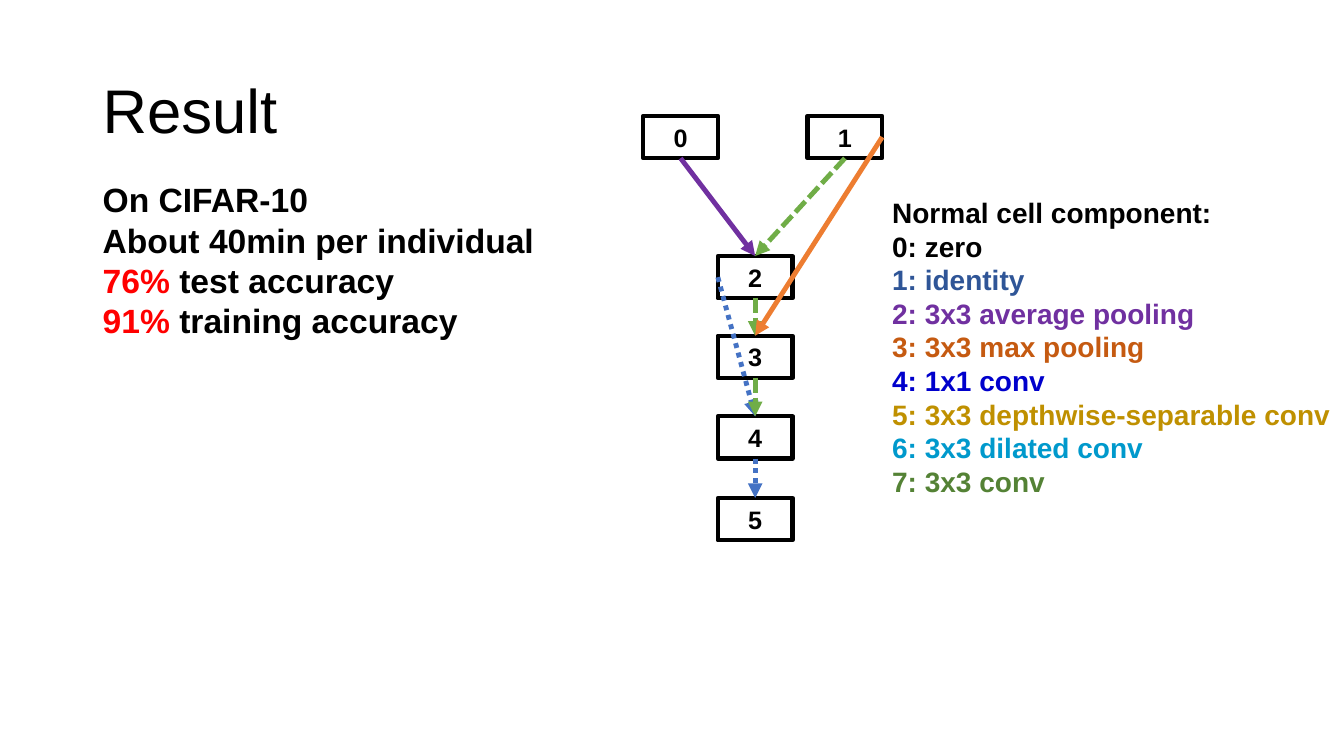
from lxml import etree
from pptx import Presentation
from pptx.dml.color import RGBColor
from pptx.enum.dml import MSO_LINE
from pptx.enum.shapes import MSO_CONNECTOR, MSO_SHAPE
from pptx.enum.text import MSO_ANCHOR, PP_ALIGN
from pptx.oxml.ns import qn
from pptx.util import Inches, Pt

STRAIGHT = MSO_CONNECTOR.STRAIGHT
RECTANGLE = MSO_SHAPE.RECTANGLE
MIDDLE, ANCHOR_TOP = MSO_ANCHOR.MIDDLE, MSO_ANCHOR.TOP
CENTER = PP_ALIGN.CENTER
DOTTED, DASHED = MSO_LINE.ROUND_DOT, MSO_LINE.SQUARE_DOT
TOP, LEFT, BOTTOM, RIGHT = range(4)  # connection sites of a rectangle

COLORS = {
    "black": "000000",
    "red": "FF0000",
    "identity": "2F5597",
    "purple": "7030A0",
    "max pooling": "C55A11",
    "pointwise": "0000CC",
    "separable": "BF9000",
    "dilated": "0099CC",
    "conv": "548235",
    "blue arrow": "4472C4",
    "green arrow": "70AD47",
    "orange arrow": "ED7D31",
}

RESULTS = [
    [("On CIFAR-10", "black")],
    [("About 40min per individual", "black")],
    [("76% ", "red"), ("test accuracy", "black")],
    [("91% ", "red"), ("training accuracy", "black")],
]

COMPONENTS = [
    [("Normal cell component:", "black")],
    [("0: zero", "black")],
    [("1: identity", "identity")],
    [("2: 3x3 average pooling", "purple")],
    [("3: 3x3 max pooling", "max pooling")],
    [("4: 1x1 conv", "pointwise")],
    [("5: 3x3 depthwise-separable conv", "separable")],
    [("6: 3x3 dilated conv", "dilated")],
    [("7: 3x3 conv", "conv")],
]

NODE_POSITIONS = [(6.38, 1.15), (8.01, 1.15)] + [
    (7.12, top) for top in (2.54, 3.33, 4.13, 4.94)
]

# source node, site it leaves from, target node, color, dash
EDGES = [
    (0, BOTTOM, 2, "purple", None),
    (4, BOTTOM, 5, "blue arrow", DOTTED),
    (1, BOTTOM, 2, "green arrow", DASHED),
    (2, BOTTOM, 3, "green arrow", DASHED),
    (1, RIGHT, 3, "orange arrow", None),
    (2, LEFT, 4, "blue arrow", DOTTED),
    (3, BOTTOM, 4, "green arrow", DASHED),
]


def color(name):
    return RGBColor.from_string(COLORS[name])


class SlideBuilder:
    font = "Arial"

    def __init__(self, slide):
        self.shapes = slide.shapes

    def style(self, paragraph, size, bold=True):
        paragraph.font.name = self.font
        paragraph.font.size = Pt(size)
        paragraph.font.bold = bold

    def text(self, left, top, width, height, lines, size,
             bold=True, anchor=ANCHOR_TOP, spacing=1.0):
        """Add a text box; each line is a list of (text, color name) spans."""
        box = self.shapes.add_textbox(
            Inches(left), Inches(top), Inches(width), Inches(height))
        frame = box.text_frame
        frame.word_wrap = True
        frame.vertical_anchor = anchor
        for index, spans in enumerate(lines):
            para = frame.add_paragraph() if index else frame.paragraphs[0]
            para.line_spacing = spacing
            self.style(para, size, bold)
            for words, color_name in spans:
                span = para.add_run()
                span.text = words
                span.font.color.rgb = color(color_name)

    def node(self, left, top, label):
        box = self.shapes.add_shape(
            RECTANGLE, Inches(left), Inches(top), Inches(0.74), Inches(0.42))
        box.shadow.inherit = False
        box.fill.background()
        box.line.color.rgb = color("black")
        box.line.width = Pt(3)
        box.text_frame.vertical_anchor = MIDDLE
        para = box.text_frame.paragraphs[0]
        para.text = label
        para.alignment = CENTER
        self.style(para, 18)
        para.font.color.rgb = color("black")
        return box

    def arrow(self, source, site, target, color_name, dash):
        """Join a site of the source to the top of the target."""
        arrow = self.shapes.add_connector(STRAIGHT, 0, 0, 0, 0)
        arrow.begin_connect(source, site)
        arrow.end_connect(target, TOP)
        arrow.line.color.rgb = color(color_name)
        arrow.line.width = Pt(3.5)
        if dash is not None:
            arrow.line.dash_style = dash
        properties = arrow._element.spPr
        outline = properties.find(qn("a:ln"))
        etree.SubElement(outline, qn("a:tailEnd"), type="triangle")
        etree.SubElement(properties, qn("a:effectLst"))


def main():
    deck = Presentation()
    deck.slide_width, deck.slide_height = Inches(13.33), Inches(7.5)
    page = SlideBuilder(deck.slides.add_slide(deck.slide_layouts[6]))

    page.text(0.92, 0.4, 11.5, 1.45, [[("Result", "black")]], 44,
              bold=False, anchor=MIDDLE, spacing=0.9)
    page.text(8.75, 1.89, 4.7, 3.47, COMPONENTS, 20)
    page.text(0.92, 1.73, 4.82, 1.72, RESULTS, 24)

    nodes = [page.node(left, top, str(number))
             for number, (left, top) in enumerate(NODE_POSITIONS)]
    for source, site, target, color_name, dash in EDGES:
        page.arrow(nodes[source], site, nodes[target], color_name, dash)

    deck.save("out.pptx")


if __name__ == "__main__":
    main()
